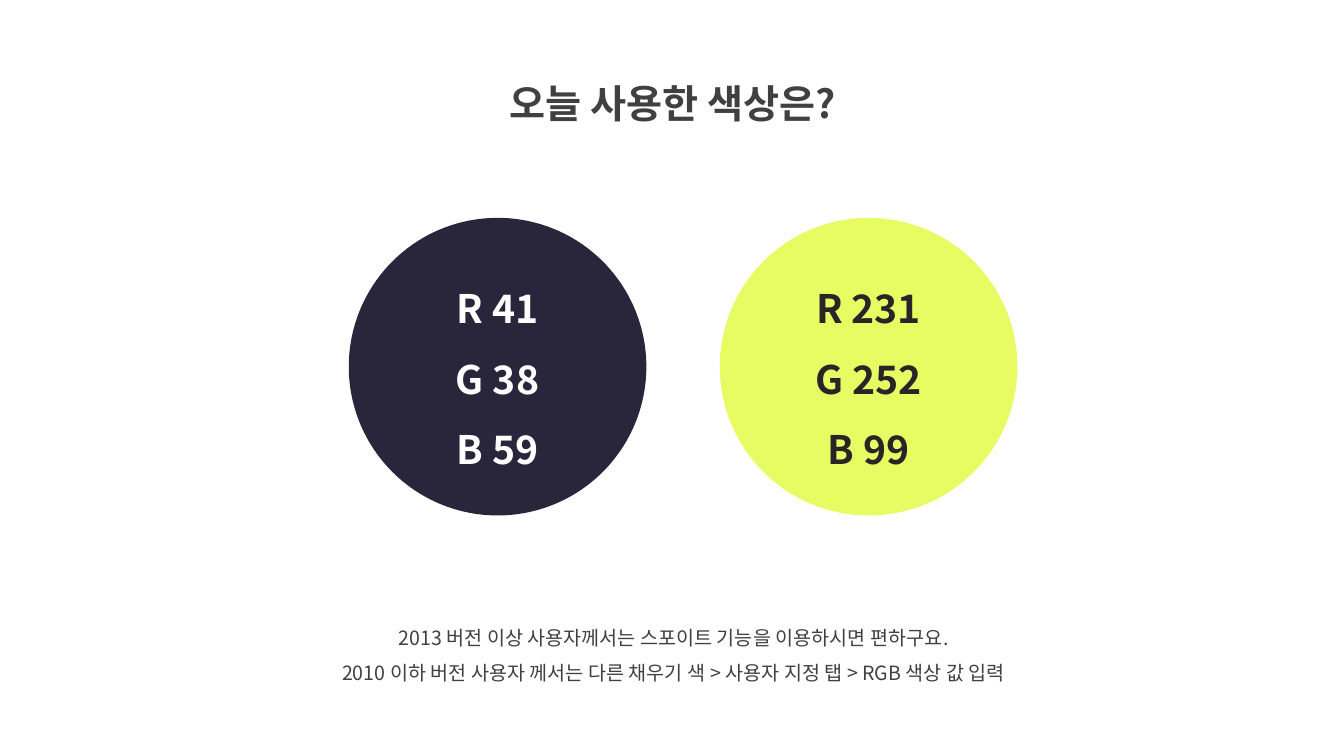
import pptx
import pptx.dml.color
import pptx.enum.shapes
import pptx.enum.text
import pptx.oxml.ns
import pptx.util
from lxml import etree

Cm = pptx.util.Cm
RGBColor = pptx.dml.color.RGBColor

NAVY = RGBColor(41, 38, 59)
LIME = RGBColor(231, 252, 99)
WHITE = RGBColor(255, 255, 255)
GRAY = RGBColor(0x40, 0x40, 0x40)
BLACK = RGBColor(0x26, 0x26, 0x26)


class ColorSlide:
    FONT = "Noto Sans CJK KR"
    LINE_SPACING = 1.5

    def __init__(self, presentation):
        self.slide = presentation.slides.add_slide(presentation.slide_layouts[6])

    def fill_lines(self, frame, lines, size, color, bold):
        """Fill a frame with centred lines, using the font for Latin and Korean."""
        frame.word_wrap = True
        frame.text = "\n".join(lines)
        for paragraph in frame.paragraphs:
            paragraph.alignment = pptx.enum.text.PP_ALIGN.CENTER
            paragraph.line_spacing = self.LINE_SPACING
            for run in paragraph.runs:
                run.font.size = pptx.util.Pt(size)
                run.font.bold = bold
                run.font.color.rgb = color
                run.font.name = self.FONT
                east_asian = etree.SubElement(
                    run.font._element, pptx.oxml.ns.qn("a:ea"))
                east_asian.set("typeface", self.FONT)

    def text(self, left, top, width, height, lines, size, bold=False):
        box = self.slide.shapes.add_textbox(Cm(left), Cm(top), Cm(width), Cm(height))
        self.fill_lines(box.text_frame, lines, size, GRAY, bold)
        box.text_frame.auto_size = pptx.enum.text.MSO_AUTO_SIZE.SHAPE_TO_FIT_TEXT

    def swatch(self, left, top, diameter, fill, text_color):
        """Draw a circle labelled with the RGB values of its own fill."""
        circle = self.slide.shapes.add_shape(
            pptx.enum.shapes.MSO_SHAPE.OVAL,
            Cm(left), Cm(top), Cm(diameter), Cm(diameter))
        circle.shadow.inherit = False
        circle.fill.solid()
        circle.fill.fore_color.rgb = fill
        circle.line.fill.background()
        circle.text_frame.vertical_anchor = pptx.enum.text.MSO_ANCHOR.MIDDLE
        values = [f"{channel} {value}" for channel, value in zip("RGB", fill)]
        self.fill_lines(circle.text_frame, values, 28, text_color, True)


def main():
    presentation = pptx.Presentation()
    presentation.slide_width = Cm(33.87)
    presentation.slide_height = Cm(19.05)
    page = ColorSlide(presentation)

    page.text(11.07, 1.27, 11.76, 1.83, ["오늘 사용한 색상은?"], 28, bold=True)
    page.text(6.83, 15.34, 20.29, 2.06, [
        "2013 버전 이상 사용자께서는 스포이트 기능을 이용하시면 편하구요.",
        "2010 이하 버전 사용자 께서는 다른 채우기 색 > 사용자 지정 탭 > RGB 색상 값 입력",
    ], 14)
    page.swatch(18.14, 5.49, 7.5, LIME, BLACK)
    page.swatch(8.79, 5.49, 7.5, NAVY, WHITE)

    presentation.save("out.pptx")


if __name__ == "__main__":
    main()
